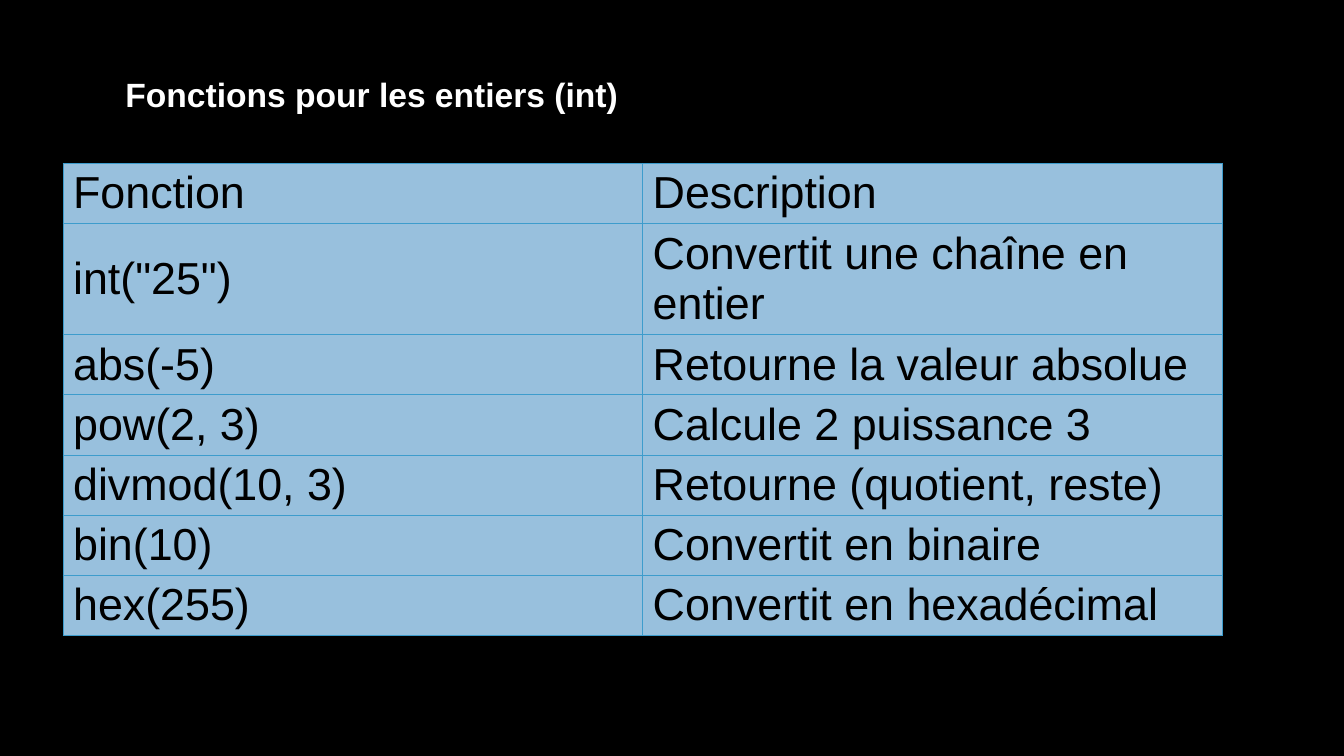
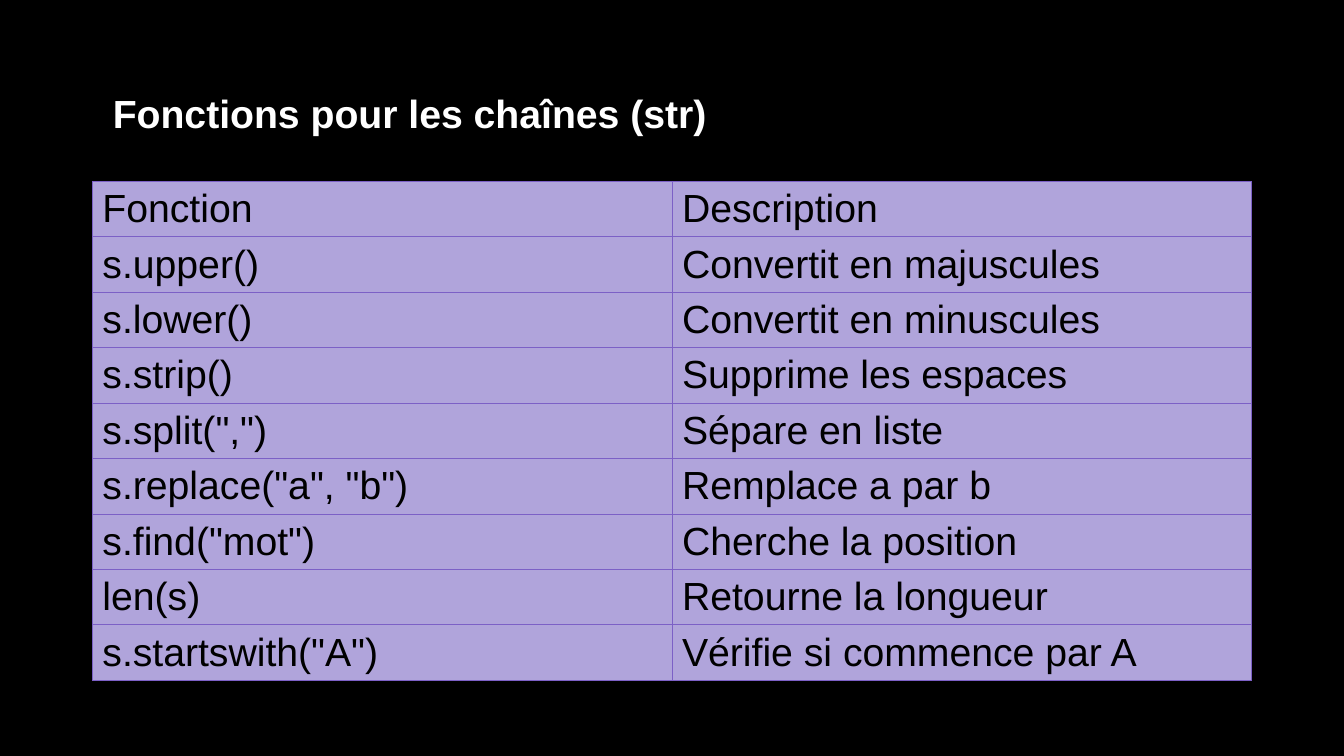
from lxml.etree import SubElement
from pptx import Presentation
from pptx.dml.color import RGBColor
from pptx.enum.text import MSO_ANCHOR as Anchor
from pptx.oxml.ns import qn
from pptx.util import Pt

BLACK = RGBColor(0x00, 0x00, 0x00)
WHITE = RGBColor(0xFF, 0xFF, 0xFF)
BLUE_FILL = RGBColor(0x98, 0xC0, 0xDD)
BLUE_LINE = RGBColor(0x3D, 0x9C, 0xCC)
PURPLE_FILL = RGBColor(0xB0, 0xA4, 0xDB)
PURPLE_LINE = RGBColor(0x7C, 0x60, 0xC6)
HEADINGS = ("Fonction", "Description")

INTEGER_FUNCTIONS = [
    ('int("25")', "Convertit une chaîne en entier"),
    ("abs(-5)", "Retourne la valeur absolue"),
    ("pow(2, 3)", "Calcule 2 puissance 3"),
    ("divmod(10, 3)", "Retourne (quotient, reste)"),
    ("bin(10)", "Convertit en binaire"),
    ("hex(255)", "Convertit en hexadécimal"),
]
STRING_FUNCTIONS = [
    ("s.upper()", "Convertit en majuscules"),
    ("s.lower()", "Convertit en minuscules"),
    ("s.strip()", "Supprime les espaces"),
    ('s.split(",")', "Sépare en liste"),
    ('s.replace("a", "b")', "Remplace a par b"),
    ('s.find("mot")', "Cherche la position"),
    ("len(s)", "Retourne la longueur"),
    ('s.startswith("A")', "Vérifie si commence par A"),
]


class Deck:
    font_name = "Arial"
    column_width = 414
    border_width = 0.5

    def __init__(self):
        self.presentation = Presentation()
        self.presentation.slide_width = Pt(960)
        self.presentation.slide_height = Pt(540)
        self.slide = None

    def new_slide(self):
        self.slide = self.presentation.slides.add_slide(self.presentation.slide_layouts[6])
        background = self.slide.background.fill
        background.solid()
        background.fore_color.rgb = BLACK

    def style(self, paragraph, size, color, bold=False):
        for run in paragraph.runs:
            font = run.font
            font.name, font.size, font.bold = self.font_name, Pt(size), bold
            font.color.rgb = color

    def title(self, text, left, top, width, height, size):
        box = self.slide.shapes.add_textbox(Pt(left), Pt(top), Pt(width), Pt(height))
        frame = box.text_frame
        frame.word_wrap = True
        frame.vertical_anchor = Anchor.TOP
        frame.text = text
        self.style(frame.paragraphs[0], size, WHITE, bold=True)

    def border(self, cell, color):
        """Outline all four sides; borders must precede the fill in the XML."""
        properties = cell._tc.get_or_add_tcPr()
        for side in ("lnL", "lnR", "lnT", "lnB"):
            line = SubElement(properties, qn(f"a:{side}"), w=str(Pt(self.border_width)))
            fill = SubElement(line, qn("a:solidFill"))
            SubElement(fill, qn("a:srgbClr"), val=str(color))

    def table(self, functions, left, top, row_heights, size, fill, line):
        rows = [HEADINGS, *functions]
        table = self.slide.shapes.add_table(
            len(rows), len(HEADINGS), Pt(left), Pt(top),
            Pt(self.column_width * len(HEADINGS)), Pt(sum(row_heights))).table
        table.first_row = table.horz_banding = False
        for column in table.columns:
            column.width = Pt(self.column_width)
        for row, height, texts in zip(table.rows, row_heights, rows):
            row.height = Pt(height)
            for cell, text in zip(row.cells, texts):
                self.border(cell, line)
                cell.fill.solid()
                cell.fill.fore_color.rgb = fill
                cell.margin_top = cell.margin_bottom = Pt(3)
                cell.vertical_anchor = Anchor.MIDDLE
                cell.text_frame.text = text
                self.style(cell.text_frame.paragraphs[0], size, BLACK)


def main():
    deck = Deck()

    deck.new_slide()
    deck.table(INTEGER_FUNCTIONS, 45, 116.5, [43, 79.5] + [43] * 5, 32, BLUE_FILL, BLUE_LINE)
    deck.title("Fonctions pour les entiers (int)", 82.5, 49, 462, 57, 24)

    deck.new_slide()
    deck.table(STRING_FUNCTIONS, 66, 129.5, [38.4] * 9, 28, PURPLE_FILL, PURPLE_LINE)
    deck.title("Fonctions pour les chaînes (str)", 73.5, 60, 541, 61, 28)

    deck.presentation.save("out.pptx")


if __name__ == "__main__":
    main()
